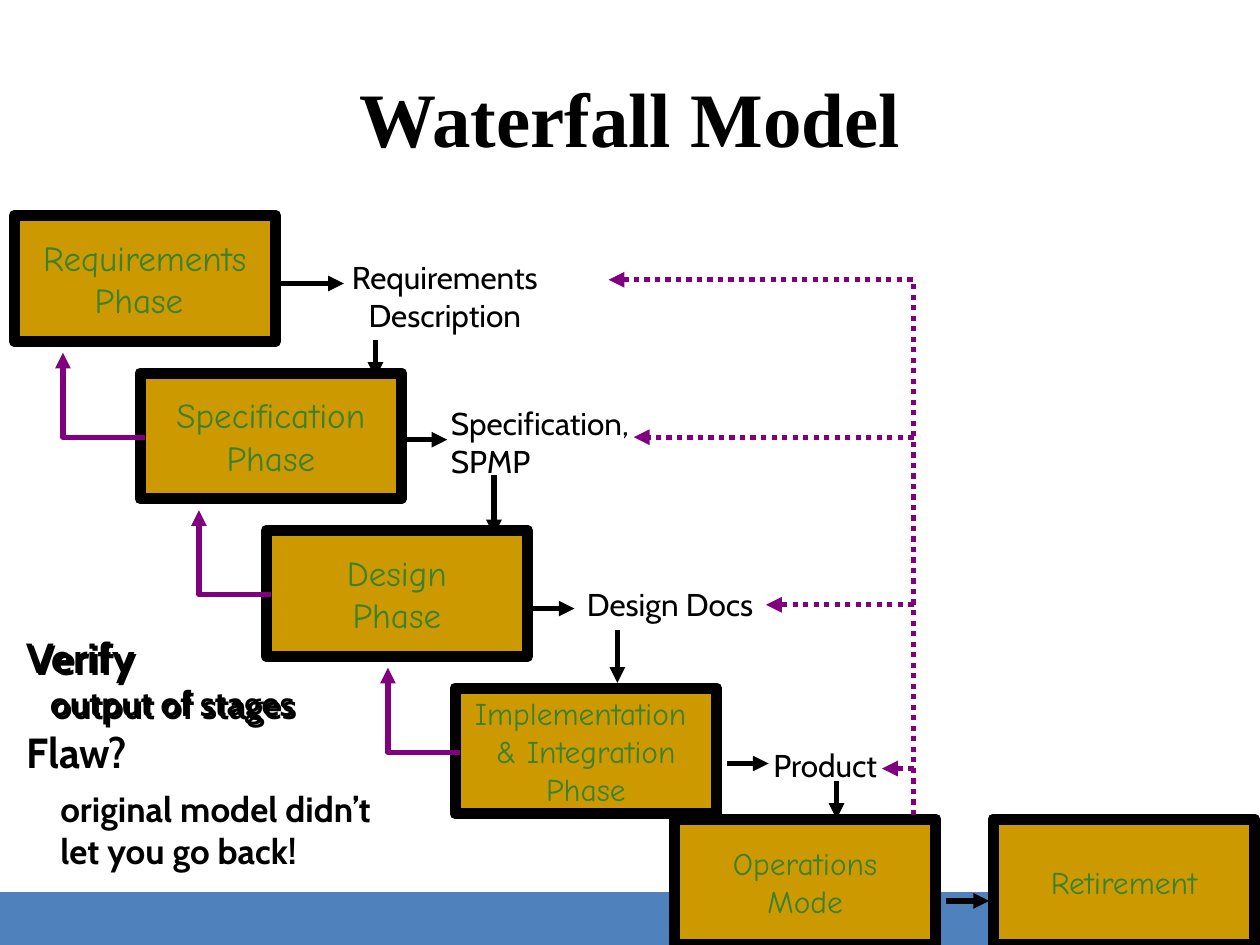
import pptx
import pptx.util
import pptx.dml.color
import pptx.enum.dml
import pptx.enum.shapes
import pptx.enum.text
import pptx.oxml.ns
from lxml import etree

Inches = pptx.util.Inches
Pt = pptx.util.Pt
Color = pptx.dml.color.RGBColor
Align = pptx.enum.text.PP_ALIGN
Anchor = pptx.enum.text.MSO_ANCHOR
Kind = pptx.enum.shapes.MSO_CONNECTOR
RECT = pptx.enum.shapes.MSO_SHAPE.RECTANGLE
qn = pptx.oxml.ns.qn

BLACK = Color(0x00, 0x00, 0x00)
GOLD = Color(0xCC, 0x99, 0x00)
GREEN = Color(0x3B, 0x81, 0x2F)
BLUE = Color(0x4F, 0x81, 0xBD)
PURPLE = Color(0x80, 0x00, 0x80)

deck = pptx.Presentation()
deck.slide_width, deck.slide_height = Inches(10), Inches(7.5)
slide = deck.slides.add_slide(deck.slide_layouts[5])
shapes = slide.shapes


def write(shape, text, size, font, color, align, bold=False):
    frame = shape.text_frame
    frame.text = text
    frame.word_wrap = False
    for para in frame.paragraphs:
        para.alignment = align
        for run in para.runs:
            run.font.size = Pt(size)
            run.font.name = font
            run.font.bold = bold
            run.font.color.rgb = color


def link(start, end, color, bent=False, dotted=False, tip="tailEnd"):
    kind = Kind.ELBOW if bent else Kind.STRAIGHT
    line = shapes.add_connector(kind, *map(Inches, start + end))
    line.line.color.rgb = color
    line.line.width = Pt(3)
    if dotted:
        line.line.dash_style = pptx.enum.dml.MSO_LINE.ROUND_DOT
    props = line._element.spPr
    if bent:
        props.find(qn("a:prstGeom")).set("prst", "bentConnector2")
    etree.SubElement(props.find(qn("a:ln")), qn("a:" + tip), type="triangle")
    etree.SubElement(props, qn("a:effectLst"))


band = shapes.add_shape(RECT, 0, Inches(7.08), Inches(10), Inches(0.42))
band.shadow.inherit = False
band.fill.solid()
band.fill.fore_color.rgb = BLUE
band.line.color.rgb = BLUE
band.line.width = Pt(0.25)

title = shapes.title
title.left, title.top = Inches(0.5), Inches(0.3)
title.width, title.height = Inches(9), Inches(1.25)
write(title, "Waterfall Model", 44, "Times New Roman", BLACK, Align.CENTER, True)
title.text_frame.vertical_anchor = Anchor.MIDDLE

phases = [
    (0.15, 1.75, 20, "Requirements\nPhase "),
    (1.15, 3, 20, "Specification\nPhase"),
    (2.15, 4.25, 20, "Design\nPhase"),
    (3.65, 5.5, 18, "Implementation \n& Integration\nPhase"),
    (5.39, 6.54, 18, "Operations\nMode"),
    (7.92, 6.54, 18, "Retirement"),
]
edge = 0.04
for left, top, size, text in phases:
    rim = shapes.add_shape(RECT, Inches(left - edge), Inches(top - edge),
                           Inches(2 + 2 * edge), Inches(0.92 + 2 * edge))
    rim.shadow.inherit = False
    rim.fill.background()
    rim.line.color.rgb = BLACK
    rim.line.width = Pt(6)
    box = shapes.add_shape(RECT, Inches(left), Inches(top), Inches(2), Inches(0.92))
    box.shadow.inherit = False
    box.fill.solid()
    box.fill.fore_color.rgb = GOLD
    box.line.color.rgb = BLACK
    box.line.width = Pt(1)
    write(box, text, size, "Comic Neue", GREEN, Align.CENTER)
    box.text_frame.vertical_anchor = Anchor.MIDDLE

labels = [
    (2.67, 2, 1.72, 0.7, 18, False, Align.CENTER, "Requirements\nDescription"),
    (3.48, 3.16, 1.66, 0.7, 18, False, Align.LEFT, "Specification,\nSPMP"),
    (4.56, 4.59, 1.56, 0.4, 18, False, Align.LEFT, "Design Docs"),
    (6.04, 5.87, 1.04, 0.4, 18, False, Align.LEFT, "Product"),
    (0.11, 5.72, 1.18, 0.5, 24, True, Align.LEFT, "Flaw?"),
    (0.38, 6.2, 3.09, 0.77, 20, True, Align.LEFT,
     "original model didn’t\nlet you go back!"),
]
for left, top, width, height, size, bold, align, text in labels:
    label = shapes.add_textbox(*map(Inches, (left, top, width, height)))
    write(label, text, size, "Cabin", BLACK, align, bold)

for left, top in [(0.13, 4.98), (0.11, 4.96)]:
    note = shapes.add_textbox(Inches(left), Inches(top), Inches(2.72), Inches(0.83))
    write(note, "Verify\noutput of stages", 20, "Cabin", BLACK, Align.LEFT, True)
    first, second = note.text_frame.paragraphs
    first.runs[0].font.size = Pt(24)
    second._p.get_or_add_pPr().set("marL", str(Inches(0.19)))

for left, right, level in [(2.23, 2.73, 2.25), (3.21, 3.55, 3.49), (4.23, 4.56, 4.83),
                           (5.77, 6.1, 6.06), (7.51, 7.85, 7.15)]:
    link((left, level), (right, level), BLACK)

for across, top, foot in [(2.98, 2.7, 3), (3.92, 3.77, 4.25),
                          (4.9, 5, 5.42), (6.64, 6.2, 6.5)]:
    link((across, top), (across, foot), BLACK)

for (left, top, size, text), back in zip(phases[1:4], [0.5, 1.58, 3.08]):
    link((left, top + 0.47), (back, top - 0.2), PURPLE, bent=True)

trunk = 7.25
link((4.83, 2.22), (trunk, 6.47), PURPLE, bent=True, dotted=True, tip="headEnd")
for tip, level in [(5.03, 3.47), (6.08, 4.8), (7, 6.1)]:
    link((trunk, level), (tip, level), PURPLE, dotted=True)

deck.save("out.pptx")
